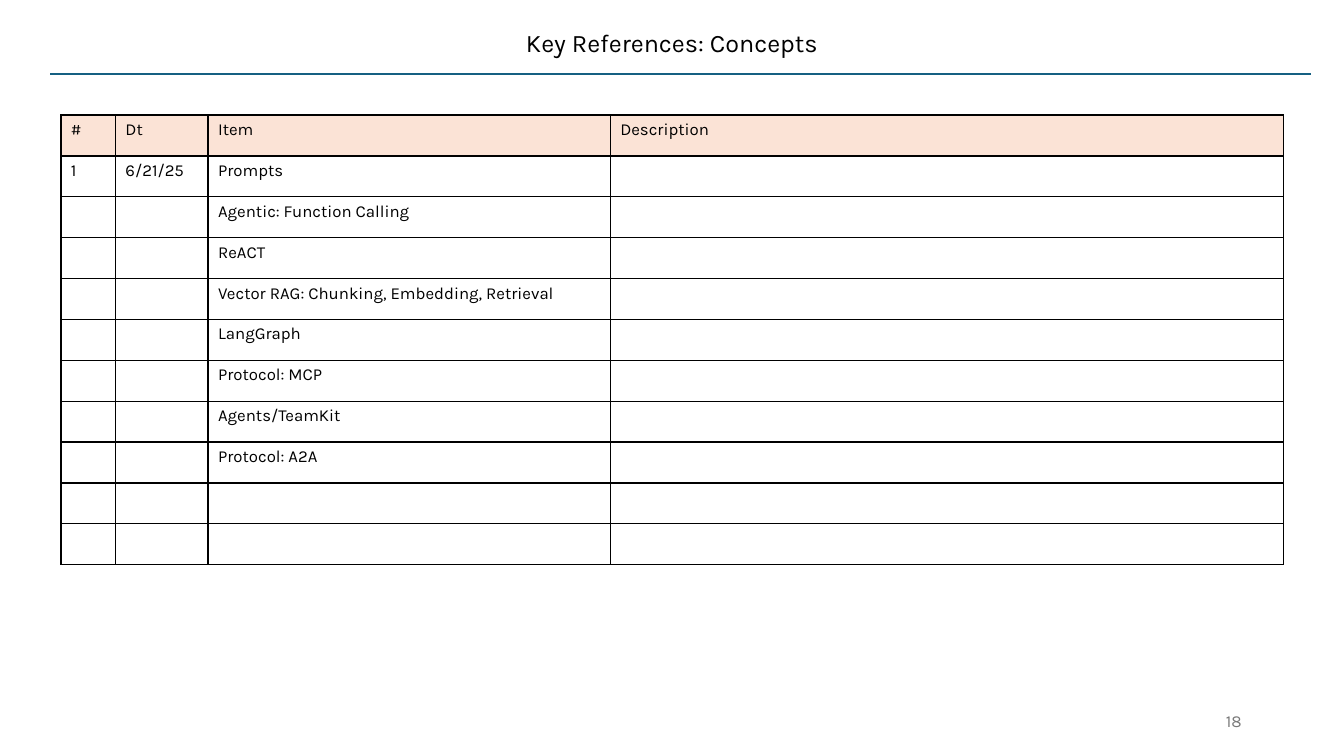
from dataclasses import dataclass

import pptx
import pptx.dml.color
import pptx.enum.shapes
import pptx.enum.text
import pptx.oxml
import pptx.oxml.ns
import pptx.util
from lxml import etree

Pt = pptx.util.Pt
ALIGN = pptx.enum.text.PP_ALIGN
ANCHOR = pptx.enum.text.MSO_ANCHOR
FONT = "Karla"
BLACK = "000000"
COLUMN_WIDTHS = (38.9, 66.2, 287.3, 481)
ROW_HEIGHT = 29.2


@dataclass
class Reference:
    item: str = ""
    number: str = ""
    date: str = ""
    description: str = ""


HEADER = Reference("Item", "#", "Dt", "Description")
REFERENCES = [
    Reference("Prompts", "1", "6/21/25"),
    Reference("Agentic: Function Calling"),
    Reference("ReACT"),
    Reference("Vector RAG: Chunking, Embedding, Retrieval"),
    Reference("LangGraph"),
    Reference("Protocol: MCP"),
    Reference("Agents/TeamKit"),
    Reference("Protocol: A2A"),
    Reference(),
    Reference(),
]


def rgb(value: str) -> pptx.dml.color.RGBColor:
    return pptx.dml.color.RGBColor.from_string(value)


def write(tf, text: str, size: float = 12, color: str = BLACK,
          align=ALIGN.LEFT, spacing: float = 1.0) -> None:
    p = tf.paragraphs[0]
    p.alignment = align
    p.line_spacing = spacing
    r = p.add_run()
    r.text = text
    r.font.name = FONT
    r.font.size = Pt(size)
    r.font.bold = False
    r.font.color.rgb = rgb(color)


def place(sp, left: float, top: float, width: float, height: float) -> None:
    sp.left, sp.top = Pt(left), Pt(top)
    sp.width, sp.height = Pt(width), Pt(height)


def add_rule(slide) -> None:
    rule = slide.shapes.add_connector(
        pptx.enum.shapes.MSO_CONNECTOR.STRAIGHT, Pt(36), Pt(53), Pt(936.5), Pt(53))
    rule.line.color.rgb = rgb("156082")
    rule.line.width = Pt(1.5)
    etree.SubElement(rule._element.spPr, pptx.oxml.ns.qn("a:effectLst"))


def add_borders(cell) -> None:
    tc_pr = cell._tc.get_or_add_tcPr()
    for i, side in enumerate(("lnL", "lnR", "lnT", "lnB")):
        tc_pr.insert(i, pptx.oxml.parse_xml(
            f'<a:{side} {pptx.oxml.ns.nsdecls("a")} w="{Pt(1)}"><a:solidFill>'
            f'<a:srgbClr val="{BLACK}"/></a:solidFill></a:{side}>'))


def add_references(slide) -> None:
    entries = [HEADER, *REFERENCES]
    table = slide.shapes.add_table(
        len(entries), len(COLUMN_WIDTHS), Pt(43.5), Pt(82.2),
        Pt(sum(COLUMN_WIDTHS)), Pt(ROW_HEIGHT * len(entries))).table
    table.first_row = table.horz_banding = False
    for column, width in zip(table.columns, COLUMN_WIDTHS):
        column.width = Pt(width)
    for row, entry in zip(table.rows, entries):
        row.height = Pt(ROW_HEIGHT)
        texts = (entry.number, entry.date, entry.item, entry.description)
        for cell, text in zip(row.cells, texts):
            cell.margin_bottom = Pt(0)
            if text:
                write(cell.text_frame, text)
            if entry is HEADER:
                cell.fill.solid()
                cell.fill.fore_color.rgb = rgb("FBE3D6")
            else:
                cell.fill.background()
            add_borders(cell)


def main() -> None:
    prs = pptx.Presentation()
    prs.slide_width, prs.slide_height = Pt(960), Pt(540)
    slide = prs.slides.add_slide(prs.slide_layouts[5])

    add_rule(slide)
    title = slide.shapes.title
    place(title, 66, 15.1, 828, 33.1)
    title.text_frame.vertical_anchor = ANCHOR.MIDDLE
    write(title.text_frame, "Key References: Concepts", size=18,
          align=ALIGN.CENTER, spacing=0.9)

    number = slide.shapes.add_textbox(Pt(678), Pt(500.5), Pt(216), Pt(28.75))
    number.text_frame.word_wrap = True
    number.text_frame.vertical_anchor = ANCHOR.MIDDLE
    write(number.text_frame, "18", color="797979", align=ALIGN.RIGHT)

    add_references(slide)
    prs.save("out.pptx")


if __name__ == "__main__":
    main()
